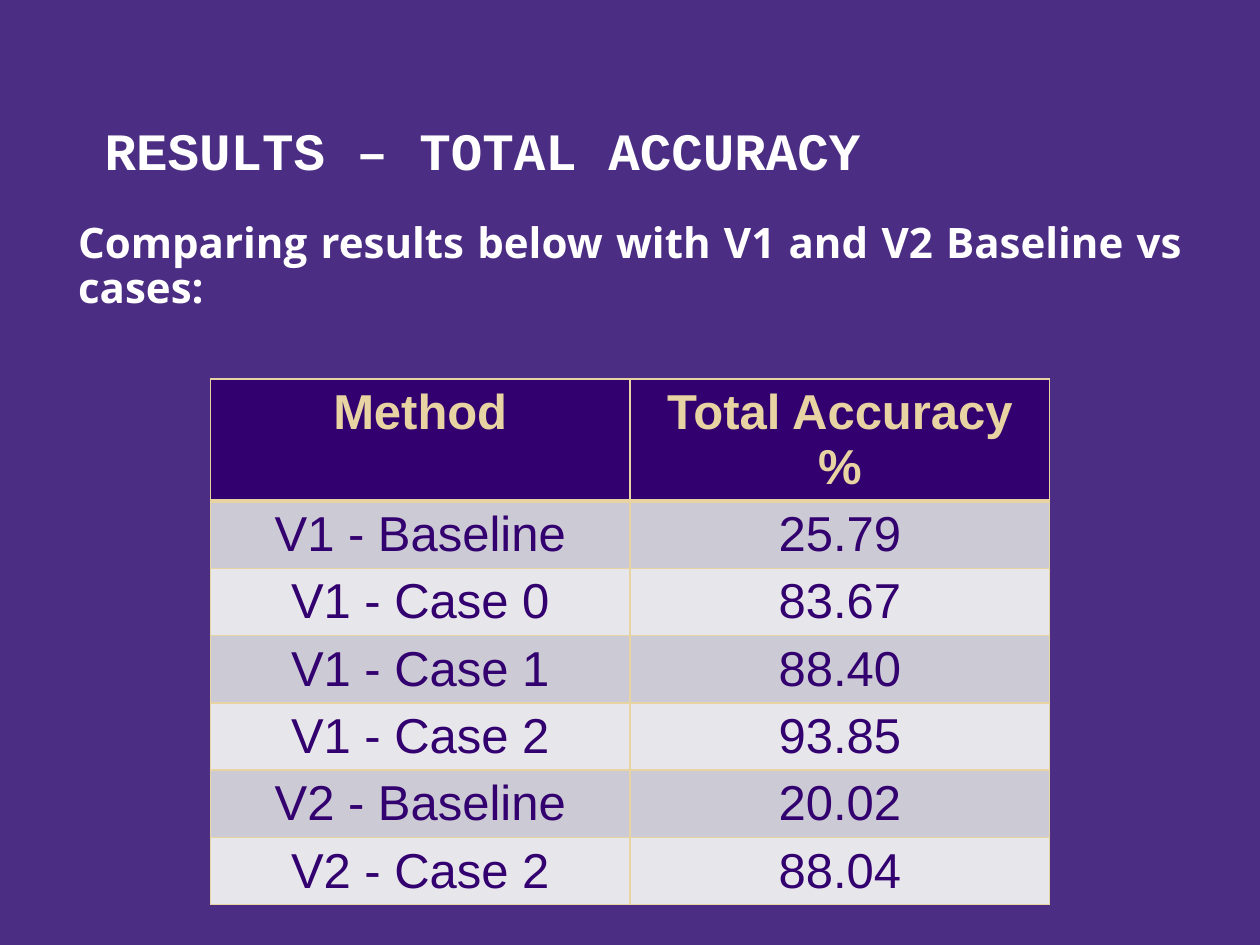
from typing import NamedTuple

from lxml.etree import SubElement
from pptx import Presentation
from pptx.dml.color import RGBColor
from pptx.enum.text import MSO_ANCHOR, PP_ALIGN
from pptx.oxml.ns import qn
from pptx.util import Inches, Pt

PURPLE = RGBColor(0x4B, 0x2E, 0x83)
DARK = RGBColor(0x33, 0x00, 0x6F)
GOLD = RGBColor(0xE8, 0xD3, 0xA2)
WHITE = RGBColor(0xFF, 0xFF, 0xFF)
BAND_DARK = RGBColor(0xCC, 0xCA, 0xD4)
BAND_LIGHT = RGBColor(0xE7, 0xE6, 0xEB)


class Result(NamedTuple):
    method: str
    accuracy: str


class Style(NamedTuple):
    font: str
    size: int
    color: RGBColor
    bold: bool


HEADER = Result("Method", "Total Accuracy %")
RESULTS = [
    Result("V1 - Baseline", "25.79"),
    Result("V1 - Case 0", "83.67"),
    Result("V1 - Case 1", "88.40"),
    Result("V1 - Case 2", "93.85"),
    Result("V2 - Baseline", "20.02"),
    Result("V2 - Case 2", "88.04"),
]
TITLE_STYLE = Style("Courier New", 30, WHITE, True)
BODY_STYLE = Style("Open Sans", 24, WHITE, True)
HEADER_STYLE = Style("Arial", 28, GOLD, True)
CELL_STYLE = Style("Arial", 28, DARK, False)


def write(tf, text: str, style: Style, align: PP_ALIGN):
    p = tf.paragraphs[0]
    p.alignment = align
    r = p.add_run()
    r.text = text
    r.font.name, r.font.size = style.font, Pt(style.size)
    r.font.color.rgb, r.font.bold = style.color, style.bold
    return p


def place(sp, left: float, top: float, width: float, height: float) -> None:
    sp.left, sp.top = Inches(left), Inches(top)
    sp.width, sp.height = Inches(width), Inches(height)


def draw_cell(cell, text: str, style: Style, fill: RGBColor, bottom: int, top: int) -> None:
    write(cell.text_frame, text, style, PP_ALIGN.CENTER)
    # Borders come before the fill in the cell properties
    tc_pr = cell._tc.get_or_add_tcPr()
    for side, width in (("L", 1), ("R", 1), ("T", top), ("B", bottom)):
        ln = SubElement(tc_pr, qn(f"a:ln{side}"), w=str(Pt(width)))
        solid = SubElement(ln, qn("a:solidFill"))
        SubElement(solid, qn("a:srgbClr"), val=str(GOLD))
    cell.fill.solid()
    cell.fill.fore_color.rgb = fill


def draw_table(slide, header: Result, results: list[Result]) -> None:
    rows = [header, *results]
    row_height, col_width = Inches(0.52), Inches(3.33)
    frame = slide.shapes.add_table(len(rows), len(header), Inches(1.67), Inches(3.01),
                                   col_width * len(header), row_height * len(rows))
    table = frame.table
    for column in table.columns:
        column.width = col_width
    for i, row in enumerate(rows):
        table.rows[i].height = row_height
        style = CELL_STYLE if i else HEADER_STYLE
        fill = (BAND_DARK if i % 2 else BAND_LIGHT) if i else DARK
        for j, text in enumerate(row):
            draw_cell(table.cell(i, j), text, style, fill,
                      bottom=1 if i else 3, top=3 if i == 1 else 1)


def main() -> None:
    prs = Presentation()
    prs.slide_width, prs.slide_height = Inches(10), Inches(7.5)
    slide = prs.slides.add_slide(prs.slide_layouts[1])
    slide.background.fill.solid()
    slide.background.fill.fore_color.rgb = PURPLE

    # Title
    title = slide.shapes.title
    place(title, 0.73, 0.4, 8.95, 1.09)
    title.text_frame.vertical_anchor = MSO_ANCHOR.BOTTOM
    write(title.text_frame, "RESULTS – TOTAL ACCURACY", TITLE_STYLE, PP_ALIGN.LEFT)

    # Introduction, without a bullet
    body = slide.placeholders[1]
    place(body, 0.52, 1.71, 8.96, 1.31)
    p = write(body.text_frame, "Comparing results below with V1 and V2 Baseline vs cases:",
              BODY_STYLE, PP_ALIGN.JUSTIFY)
    p.line_spacing, p.space_before = 0.9, Pt(0)
    p_pr = p._p.get_or_add_pPr()
    p_pr.set("marL", "0")
    p_pr.set("indent", "0")
    SubElement(p_pr, qn("a:buNone"))

    # Accuracy table
    draw_table(slide, HEADER, RESULTS)

    prs.save("out.pptx")


if __name__ == "__main__":
    main()
